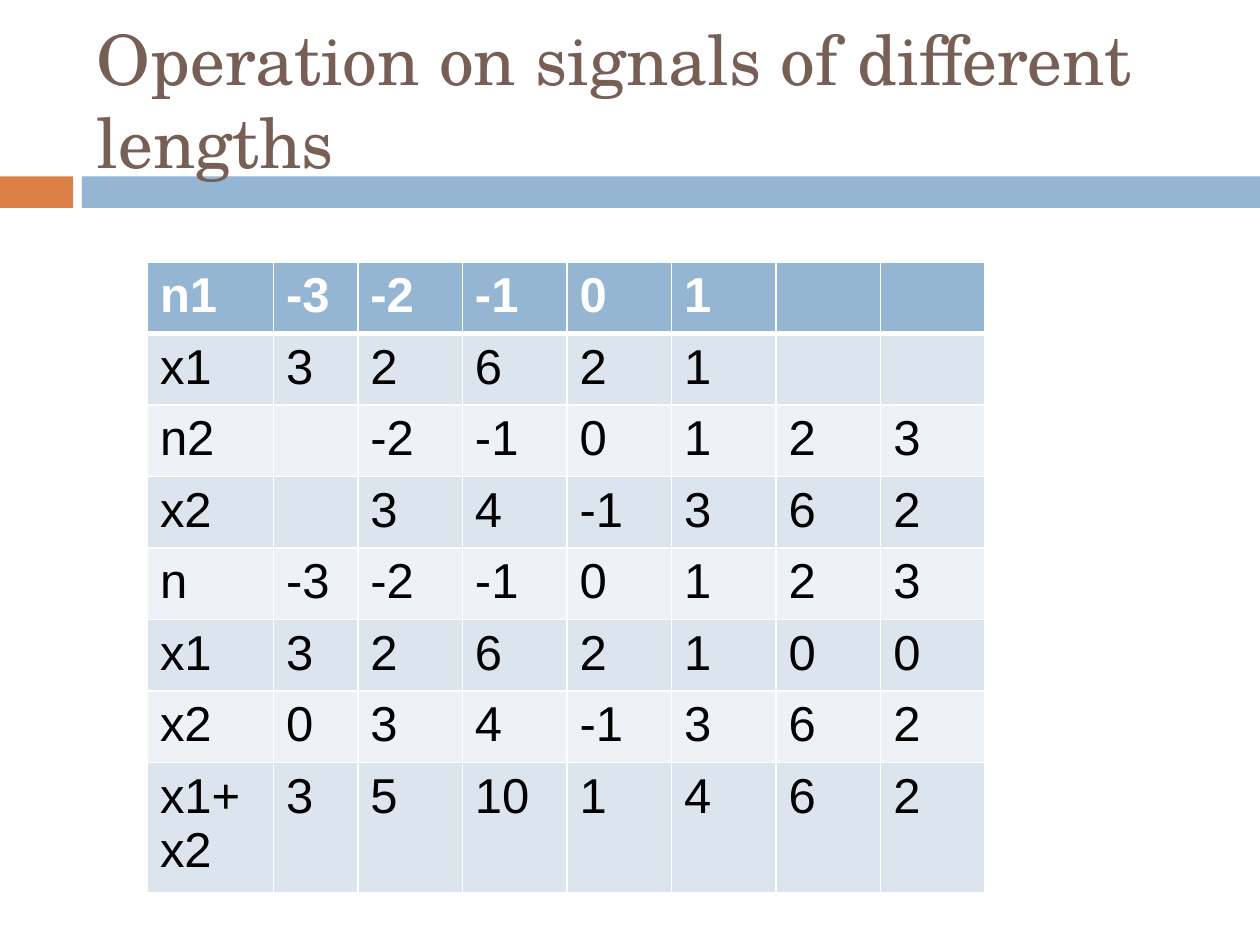
import pptx
import pptx.dml.color
import pptx.enum.shapes
import pptx.enum.text
import pptx.oxml.ns
import pptx.util
from lxml import etree

Inches = pptx.util.Inches
Pt = pptx.util.Pt

COLUMN_WIDTHS = [1, 0.67] + [0.83] * 6
ROW_HEIGHT = 0.41
SIGNALS = [
    ["n1", "-3", "-2", "-1", "0", "1", "", ""],
    ["x1", "3", "2", "6", "2", "1", "", ""],
    ["n2", "", "-2", "-1", "0", "1", "2", "3"],
    ["x2", "", "3", "4", "-1", "3", "6", "2"],
    ["n", "-3", "-2", "-1", "0", "1", "2", "3"],
    ["x1", "3", "2", "6", "2", "1", "0", "0"],
    ["x2", "0", "3", "4", "-1", "3", "6", "2"],
    ["x1+x2", "3", "5", "10", "1", "4", "6", "2"],
]


def rgb(value):
    return pptx.dml.color.RGBColor.from_string(value)


class SlideBuilder:
    """Holds the style and the slide being filled."""

    orange, blue, white = "DD8047", "94B6D2", "FFFFFF"
    bands = ["EEF2F7", "DCE5EE"]
    title_format = {"name": "TeX Gyre Schola", "size": Pt(39.6)}
    header_format = {"name": "Arial", "size": Pt(28), "bold": True}
    body_format = {"name": "Arial", "size": Pt(28), "bold": False}

    def __init__(self, slide):
        self.s = slide

    def format_text(self, font, values, color):
        for name, value in values.items():
            setattr(font, name, value)
        font.color.rgb = rgb(color)

    def bar(self, left, top, width, height, color):
        sp = self.s.shapes.add_shape(
            pptx.enum.shapes.MSO_SHAPE.RECTANGLE,
            Inches(left), Inches(top), Inches(width), Inches(height))
        sp.shadow.inherit = False
        sp.fill.solid()
        sp.fill.fore_color.rgb = rgb(color)
        sp.line.fill.background()

    def title(self, left, top, width, height, text):
        sp = self.s.shapes.add_textbox(
            Inches(left), Inches(top), Inches(width), Inches(height))
        tf = sp.text_frame
        tf.word_wrap = True
        tf.vertical_anchor = pptx.enum.text.MSO_ANCHOR.MIDDLE
        r = tf.paragraphs[0].add_run()
        r.text = text
        self.format_text(r.font, self.title_format, "775F55")

    def border(self, cell, side, points):
        qn = pptx.oxml.ns.qn
        ln = etree.SubElement(cell._tc.get_or_add_tcPr(), qn(f"a:ln{side}"),
                              w=str(Pt(points)))
        fill = etree.SubElement(ln, qn("a:solidFill"))
        etree.SubElement(fill, qn("a:srgbClr"), val=self.white)

    def cell(self, cell, row, text):
        """Style one cell: bold header on blue, banded rows below it."""
        header = row == 0
        widths = {"L": 1, "R": 1, "T": 3 if row == 1 else 1,
                  "B": 3 if header else 1}
        for side, points in widths.items():
            self.border(cell, side, points)
        cell.fill.solid()
        cell.fill.fore_color.rgb = rgb(self.blue if header
                                       else self.bands[row % 2])
        if text:
            r = cell.text_frame.paragraphs[0].add_run()
            r.text = text
            self.format_text(r.font,
                             self.header_format if header else self.body_format,
                             self.white if header else "000000")

    def table(self, left, top, widths, row_height, rows):
        table = self.s.shapes.add_table(
            len(rows), len(widths), Inches(left), Inches(top),
            Inches(sum(widths)), Inches(row_height * len(rows))).table
        for column, width in zip(table.columns, widths):
            column.width = Inches(width)
        for i, texts in enumerate(rows):
            table.rows[i].height = Inches(row_height)
            for j, text in enumerate(texts):
                self.cell(table.cell(i, j), i, text)


def main():
    prs = pptx.Presentation()
    prs.slide_width, prs.slide_height = Inches(10), Inches(7.5)
    slide = SlideBuilder(prs.slides.add_slide(prs.slide_layouts[6]))
    slide.bar(0, 1.4, 0.58, 0.25, slide.orange)
    slide.bar(0.65, 1.4, 9.35, 0.25, slide.blue)
    slide.title(0.67, 0.25, 8.92, 1.08,
                "Operation on signals of different lengths")
    slide.table(1.17, 2.08, COLUMN_WIDTHS, ROW_HEIGHT, SIGNALS)
    prs.save("out.pptx")


if __name__ == "__main__":
    main()
